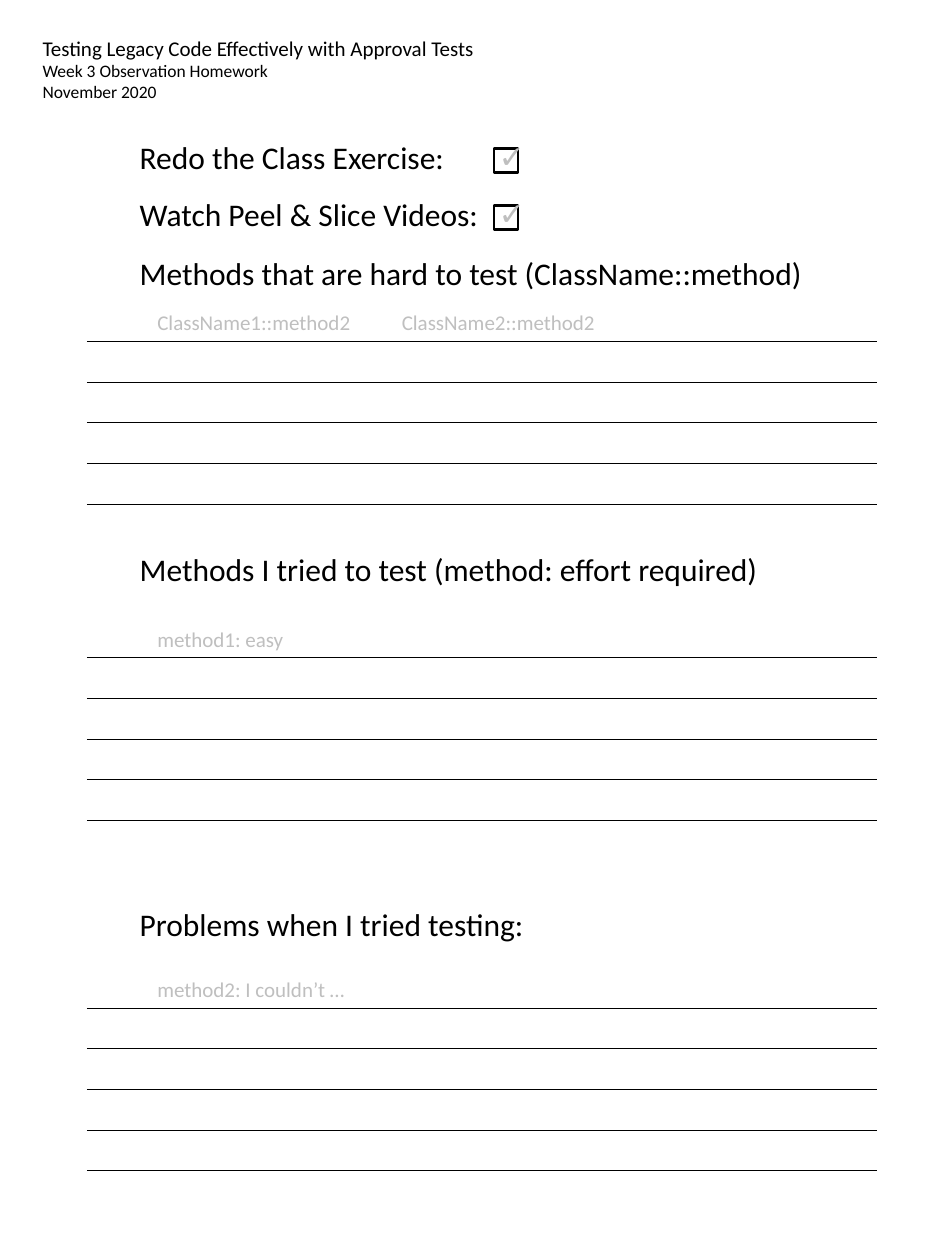
from dataclasses import dataclass

from lxml import etree
from pptx import Presentation
from pptx.dml.color import RGBColor
from pptx.enum.shapes import MSO_CONNECTOR, MSO_SHAPE
from pptx.enum.text import MSO_AUTO_SIZE
from pptx.oxml.ns import qn
from pptx.shapes.shapetree import GroupShapes, SlideShapes
from pptx.text.text import _Paragraph
from pptx.util import Inches, Pt

RECT = MSO_SHAPE.RECTANGLE
STRAIGHT = MSO_CONNECTOR.STRAIGHT
FIT = MSO_AUTO_SIZE.SHAPE_TO_FIT_TEXT

BLACK = RGBColor(0x00, 0x00, 0x00)
GRAY = RGBColor(0xBF, 0xBF, 0xBF)
FONT = "Calibri"

LEFT, WIDTH = 1.01, 5.61
RULE_LEFT, RULE_RIGHT = 0.69, 6.96
RULES, RULE_GAP = 5, 0.323
TAB = 1.94


@dataclass
class Line:
    text: str
    size: int
    color: RGBColor = BLACK


@dataclass
class Task:
    text: str
    top: float


@dataclass
class Part:
    title: str
    top: float
    hint: str
    rule: float


HEAD = [
    Line("Testing Legacy Code Effectively with Approval Tests", 12),
    Line("Week 3 Observation Homework", 10),
    Line("November 2020", 10),
]
TASKS = [
    Task("Redo the Class Exercise:", 1.05),
    Task("Watch Peel & Slice Videos:", 1.5),
]
PARTS = [
    Part("Methods that are hard to test (ClassName::method)", 1.97,
         "ClassName1::method2\tClassName2::method2", 2.71),
    Part("Methods I tried to test (method: effort required)", 4.32,
         "method1: easy", 5.22),
    Part("Problems when I tried testing:", 7.13,
         "method2: I couldn’t …", 8),
]


def add_tab(para: _Paragraph) -> None:
    """Put a left tab stop on a paragraph, ahead of its font settings."""
    props = para._p.get_or_add_pPr()
    stops = etree.Element(qn("a:tabLst"))
    etree.SubElement(stops, qn("a:tab"), pos=str(Inches(TAB)), algn="l")
    props.insert(0, stops)


def add_text(shapes: SlideShapes | GroupShapes, lines: list[Line], left: float,
             top: float, width: float, height: float, wrap: bool = True) -> None:
    box = shapes.add_textbox(Inches(left), Inches(top), Inches(width), Inches(height))
    frame = box.text_frame
    frame.word_wrap = wrap
    frame.auto_size = FIT
    for i, line in enumerate(lines):
        para = frame.add_paragraph() if i else frame.paragraphs[0]
        para.text = line.text
        para.font.name = FONT
        para.font.size = Pt(line.size)
        para.font.color.rgb = line.color
        if "\t" in line.text:
            add_tab(para)


def add_rule(shapes: GroupShapes, top: float) -> None:
    rule = shapes.add_connector(STRAIGHT, Inches(RULE_LEFT), Inches(top),
                                Inches(RULE_RIGHT), Inches(top))
    rule.line.color.rgb = BLACK
    rule.line.width = Pt(0.5)
    etree.SubElement(rule._element.spPr, qn("a:effectLst"))


def add_task(shapes: SlideShapes, task: Task) -> None:
    add_text(shapes, [Line(task.text, 18)], LEFT, task.top, WIDTH, 0.4)
    box = shapes.add_shape(RECT, Inches(3.92), Inches(task.top + 0.13),
                           Inches(0.19), Inches(0.19))
    box.shadow.inherit = False
    box.fill.background()
    box.line.color.rgb = BLACK
    box.line.width = Pt(1.5)
    add_text(shapes, [Line("✓", 18, GRAY)], 3.86, task.top - 0.01, 0.54, 0.4)


def add_part(shapes: SlideShapes, part: Part) -> None:
    add_text(shapes, [Line(part.title, 18)], LEFT, part.top, WIDTH, 0.4)
    group = shapes.add_group_shape().shapes
    add_text(group, [Line(part.hint, 12, GRAY)], 1.15, part.rule - 0.3, 4.15, 0.3)
    for i in range(RULES):
        add_rule(group, part.rule + i * RULE_GAP)


def main() -> None:
    deck = Presentation()
    deck.slide_width, deck.slide_height = Inches(7.5), Inches(10)
    shapes = deck.slides.add_slide(deck.slide_layouts[6]).shapes

    # Heading
    add_text(shapes, HEAD, 0.24, 0.23, 3.66, 0.64, wrap=False)

    # Tasks to tick off
    for task in TASKS:
        add_task(shapes, task)

    # Ruled parts to write in
    for part in PARTS:
        add_part(shapes, part)

    deck.save("out.pptx")


if __name__ == "__main__":
    main()
